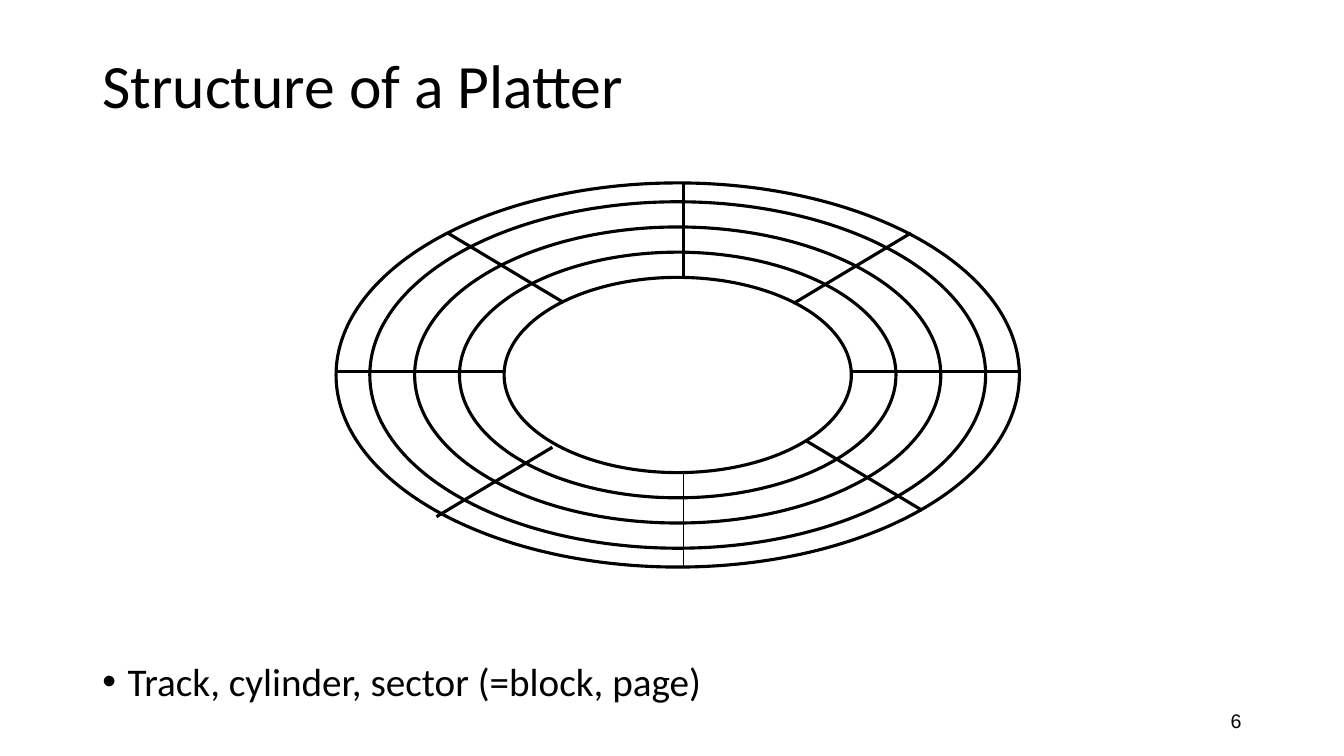
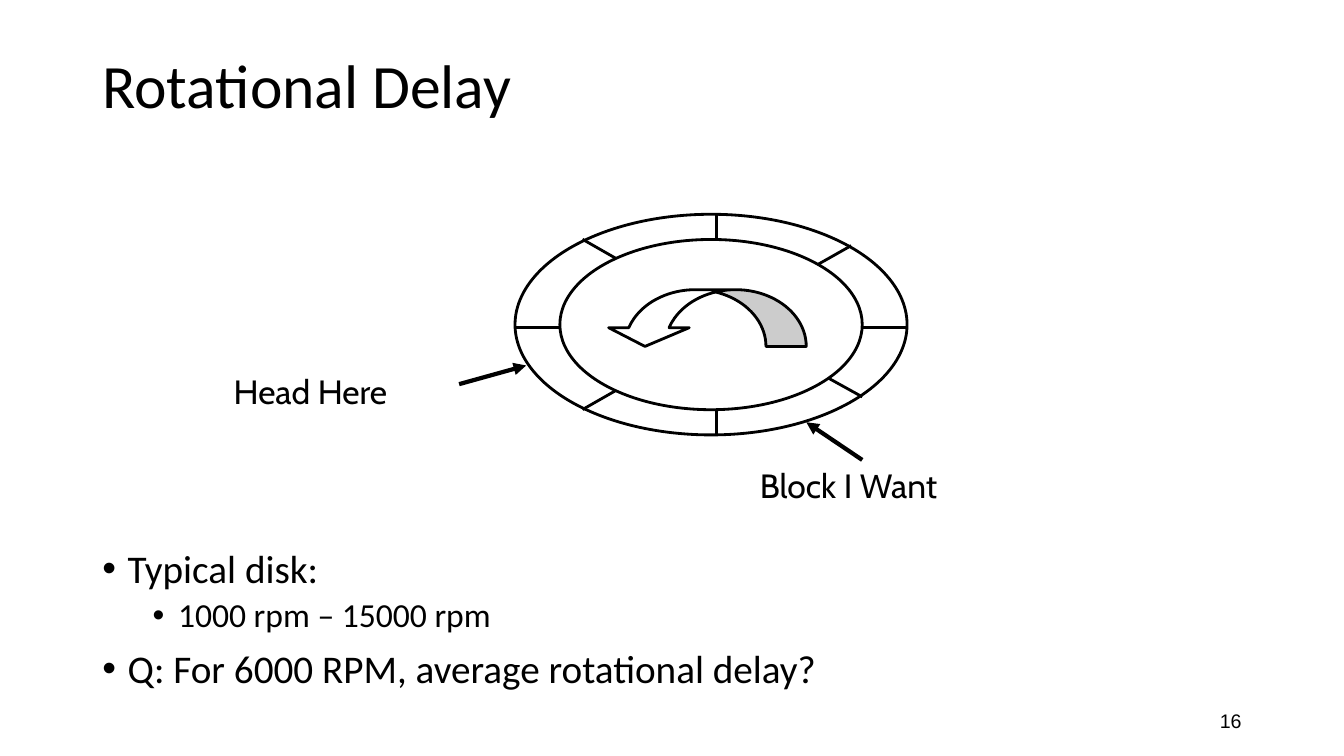
from lxml import etree
from pptx import Presentation
from pptx import util as u
from pptx.dml.color import RGBColor
from pptx.enum import shapes, text
from pptx.oxml.ns import qn

Cm, Pt = u.Cm, u.Pt
COLORS = {"ink": "000000", "paper": "FFFFFF"}
FONTS = {"main": "Calibri", "number": "Arial", "label": "Cabin"}
LEFT, WIDTH = 2.33, 29.21
BULLET_LEVELS = [(28, 10, 0.64), (24, 5, 1.91)]
HANGING = 0.64


def rgb(name):
    return RGBColor.from_string(COLORS[name])


def format_runs(p, size, font):
    for r in p.runs:
        r.font.size = Pt(size)
        r.font.name = font
        r.font.color.rgb = rgb("ink")


def add_box(s, x, y, w, h, anchor):
    tf = s.shapes.add_textbox(Cm(x), Cm(y), Cm(w), Cm(h)).text_frame
    tf.word_wrap = True
    tf.vertical_anchor = anchor
    return tf


def add_text(s, content, x, y, w, h, size, font,
             anchor=text.MSO_ANCHOR.TOP, align=text.PP_ALIGN.LEFT):
    tf = add_box(s, x, y, w, h, anchor)
    tf.text = content
    p = tf.paragraphs[0]
    p.alignment = align
    format_runs(p, size, font)
    return p


def add_bullets(s, items, bottom):
    height = 5
    tf = add_box(s, LEFT, bottom - height, WIDTH, height, text.MSO_ANCHOR.BOTTOM)
    for i, (level, content) in enumerate(items):
        p = tf.add_paragraph() if i else tf.paragraphs[0]
        size, before, margin = BULLET_LEVELS[level]
        p.text = content
        p.level = level
        p.line_spacing = 0.9
        p.space_before = Pt(before)
        format_runs(p, size, FONTS["main"])
        pPr = p._p.get_or_add_pPr()
        pPr.set("marL", str(Cm(margin)))
        pPr.set("indent", str(-Cm(HANGING)))
        etree.SubElement(pPr, qn("a:buFont")).set("typeface", "Arial")
        etree.SubElement(pPr, qn("a:buChar")).set("char", "•")


def add_outlined(s, kind, x, y, w, h, weight):
    sp = s.shapes.add_shape(kind, Cm(x), Cm(y), Cm(w), Cm(h))
    sp.shadow.inherit = False
    sp.fill.solid()
    sp.fill.fore_color.rgb = rgb("paper")
    sp.line.color.rgb = rgb("ink")
    sp.line.width = Pt(weight)
    return sp


def add_rings(s, cx, cy, sizes, weight):
    for w, h in sizes:
        add_outlined(s, shapes.MSO_SHAPE.OVAL, cx - w / 2, cy - h / 2, w, h, weight)


def add_line(s, ends, weight, arrow=False):
    line = s.shapes.add_connector(shapes.MSO_CONNECTOR.STRAIGHT, *(Cm(v) for v in ends))
    line.line.color.rgb = rgb("ink")
    line.line.width = Pt(weight)
    if arrow:
        ln = line.line._get_or_add_ln()
        etree.SubElement(ln, qn("a:tailEnd")).set("type", "triangle")
    etree.SubElement(line._element.spPr, qn("a:effectLst"))


def add_lines(s, lines, weight, arrow=False):
    for ends in lines:
        add_line(s, ends, weight, arrow)


def add_slide(prs, title, number):
    s = prs.slides.add_slide(prs.slide_layouts[6])
    middle = text.MSO_ANCHOR.MIDDLE
    add_text(s, str(number), 23.92, 17.65, 7.62, 1.01, 14, FONTS["number"],
             middle, text.PP_ALIGN.RIGHT)
    p = add_text(s, title, LEFT, 0.85, WIDTH, 2.77, 44, FONTS["main"], middle)
    p.line_spacing = 0.9
    return s


def build_platter(prs):
    s = add_slide(prs, "Structure of a Platter", 6)
    add_bullets(s, [(0, "Track, cylinder, sector (=block, page)")], 17.88)
    add_rings(s, 17.08, 9.45, [(17.22, 9.68), (15.52, 8.73), (13.26, 7.46),
                               (11, 6.19), (8.75, 4.92)], 2.25)
    add_line(s, (17.22, 14.29, 17.22, 11.91), 0.75)
    add_lines(s, [
        (17.22, 6.99, 17.22, 4.6),
        (25.68, 9.37, 21.45, 9.37),
        (12.7, 9.37, 8.47, 9.37),
        (22.96, 5.87, 20.04, 7.62),
        (13.92, 11.27, 11, 13.02),
        (20.32, 11.11, 23.24, 12.86),
        (11.28, 5.87, 14.2, 7.62),
    ], 2.25)


def build_delay(prs):
    s = add_slide(prs, "Rotational Delay", 16)
    add_bullets(s, [
        (0, "Typical disk:"),
        (1, "1000 rpm – 15000 rpm"),
        (0, "Q: For 6000 RPM, average rotational delay?"),
    ], 17.55)
    add_rings(s, 17.92, 8.18, [(9.88, 5.56), (7.62, 4.29)], 2)
    add_lines(s, [
        (18.06, 5.4, 18.06, 6.03),
        (18.06, 10.32, 18.06, 10.95),
        (21.73, 8.26, 22.86, 8.26),
        (12.98, 8.26, 14.11, 8.26),
        (20.6, 6.67, 21.45, 6.19),
        (14.68, 10.32, 15.52, 9.84),
        (20.88, 9.53, 21.73, 10),
        (14.68, 6.03, 15.52, 6.51),
    ], 2)
    spin = add_outlined(s, shapes.MSO_SHAPE.CURVED_DOWN_ARROW, 15.24, 7.3, 5.08, 1.43, 2)
    for i, value in enumerate((0.71, 1.42, 0.33)):
        spin.adjustments[i] = value
    spin._element.spPr.xfrm.set("flipH", "1")
    add_lines(s, [(11.57, 9.68, 13.26, 9.21), (21.73, 11.59, 20.32, 10.64)], 3, arrow=True)
    for content, x, y, w in [("Head Here", 5.64, 9.22, 4.52),
                             ("Block I Want", 18.9, 11.59, 5.31)]:
        add_text(s, content, x, y, w, 1.27, 24, FONTS["label"])


def main():
    prs = Presentation()
    prs.slide_width, prs.slide_height = Cm(33.87), Cm(19.05)
    build_platter(prs)
    build_delay(prs)
    prs.save("out.pptx")


if __name__ == "__main__":
    main()
